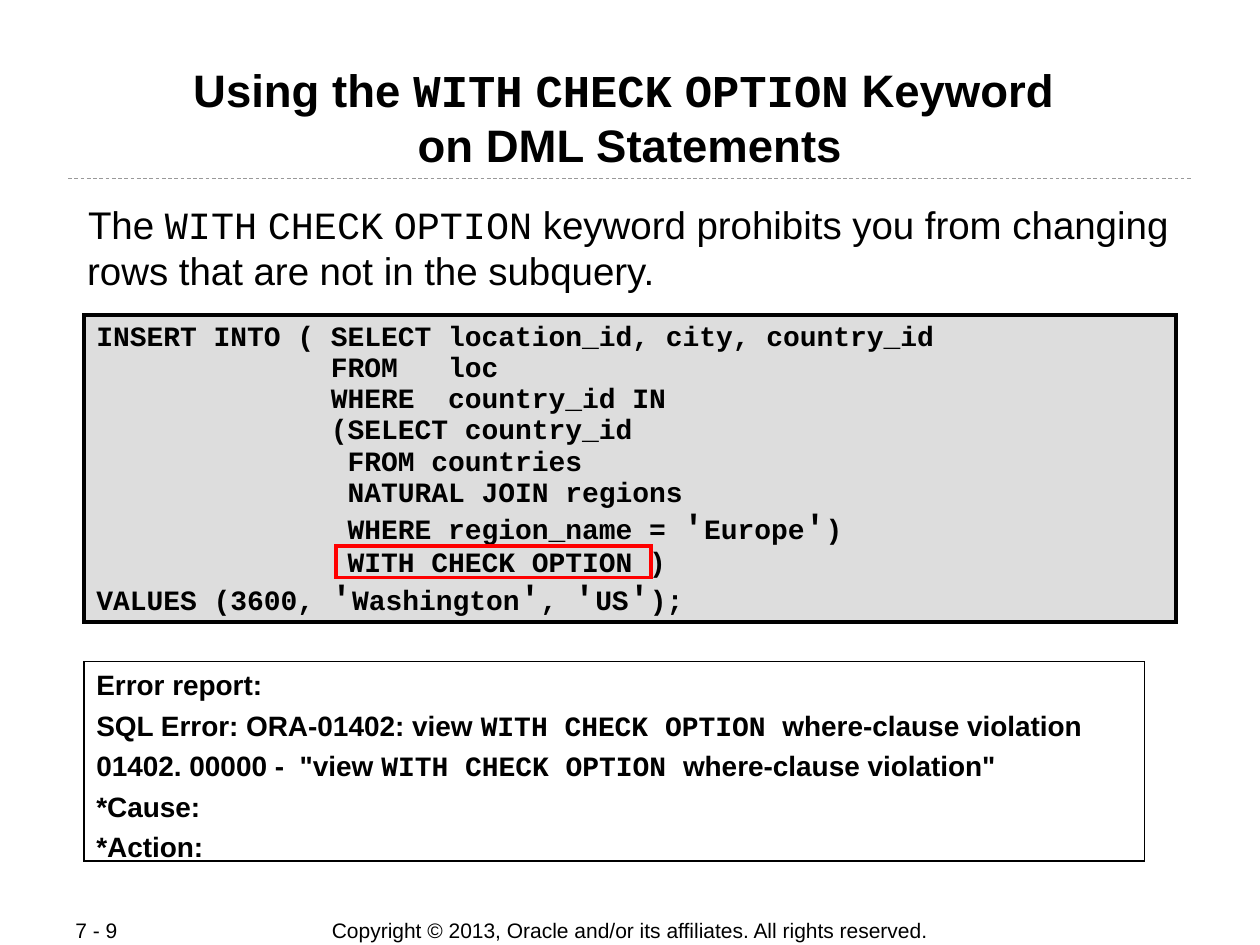
from dataclasses import dataclass

from lxml.etree import SubElement
from pptx import Presentation
from pptx.dml.color import RGBColor
from pptx.enum.dml import MSO_LINE
from pptx.enum.shapes import MSO_CONNECTOR, MSO_SHAPE
from pptx.enum.text import MSO_ANCHOR as ANCHOR, PP_ALIGN as ALIGN
from pptx.oxml.ns import qn
from pptx.util import Pt


@dataclass(frozen=True)
class Theme:
    sans: str = "Arial"
    mono: str = "Courier New"
    ink: RGBColor = RGBColor(0, 0, 0)
    panel: RGBColor = RGBColor(0xDD, 0xDD, 0xDD)
    rule: RGBColor = RGBColor(0x99, 0x99, 0x99)
    accent: RGBColor = RGBColor(0xFF, 0, 0)
    title: int = 26
    body: int = 22
    code: int = 16
    quote: int = 20
    footer: int = 12


THEME = Theme()
LEFT = 48

TITLE = ["Using the `WITH` `CHECK` `OPTION` Keyword ", "on DML Statements"]
BODY = ("The `WITH` `CHECK` `OPTION` keyword prohibits you from changing "
        "rows that are not in the subquery.")
CODE = """INSERT INTO ( SELECT location_id, city, country_id
              FROM   loc
              WHERE  country_id IN
              (SELECT country_id
               FROM countries
               NATURAL JOIN regions
               WHERE region_name = 'Europe')
               WITH CHECK OPTION )
VALUES (3600, 'Washington', 'US');""".splitlines()
ERRORS = [
    "Error report:",
    "SQL Error: ORA-01402: view `WITH CHECK OPTION `where-clause violation",
    '01402. 00000 -  "view `WITH CHECK OPTION `where-clause violation"',
    "*Cause:",
    "*Action:",
]


def add_run(p, text, size, font=THEME.sans, bold=False):
    r = p.add_run()
    r.text = text
    r.font.size = Pt(size)
    r.font.name = font
    r.font.bold = bold
    r.font.color.rgb = THEME.ink


def add_mixed(p, text, size, bold=False):
    for i, part in enumerate(text.split("`")):
        if part:
            add_run(p, part, size, THEME.mono if i % 2 else THEME.sans, bold)


def add_code(p, text):
    for i, part in enumerate(text.split("'")):
        if i:
            add_run(p, "'", THEME.quote, THEME.mono, True)
        if part:
            add_run(p, part, THEME.code, THEME.mono, True)


def add_paragraphs(tf, lines, write, before=0, spacing=None):
    for i, line in enumerate(lines):
        p = tf.add_paragraph() if i else tf.paragraphs[0]
        p.alignment = ALIGN.LEFT
        p.space_before = Pt(before if i else 0)
        if spacing:
            p.line_spacing = spacing
        write(p, line)


def set_frame(sp, anchor, x=7.2, y=3.6, wrap=True):
    tf = sp.text_frame
    tf.word_wrap = wrap
    tf.vertical_anchor = anchor
    tf.margin_left = tf.margin_right = Pt(x)
    tf.margin_top = tf.margin_bottom = Pt(y)
    return tf


def place(sp, left, top, width, height):
    sp.left, sp.top = Pt(left), Pt(top)
    sp.width, sp.height = Pt(width), Pt(height)


def add_box(s, left, top, width, height, line, weight, fill=None):
    sp = s.shapes.add_shape(MSO_SHAPE.RECTANGLE, Pt(left), Pt(top), Pt(width), Pt(height))
    sp.shadow.inherit = False
    if fill is None:
        sp.fill.background()
    else:
        sp.fill.solid()
        sp.fill.fore_color.rgb = fill
    sp.line.color.rgb = line
    sp.line.width = Pt(weight)
    SubElement(sp.line._get_or_add_ln(), qn("a:miter"), lim="800000")
    return set_frame(sp, ANCHOR.TOP)


def add_rule(s, left, right, y):
    line = s.shapes.add_connector(MSO_CONNECTOR.STRAIGHT, Pt(left), Pt(y), Pt(right), Pt(y))
    line.line.color.rgb = THEME.rule
    line.line.width = Pt(0.5)
    line.line.dash_style = MSO_LINE.DASH
    SubElement(line._element.spPr, qn("a:effectLst"))


def add_footer(s, text, left, width, align):
    sp = s.shapes.add_textbox(Pt(left), Pt(524), Pt(width), Pt(15))
    p = set_frame(sp, ANCHOR.MIDDLE, wrap=False).paragraphs[0]
    p.alignment = align
    add_run(p, text, THEME.footer)


def fill_title(sp):
    place(sp, LEFT, 34.5, 624, 69)
    p = set_frame(sp, ANCHOR.MIDDLE, 0.9, 0.9).paragraphs[0]
    sp.text_frame.margin_bottom = Pt(5.5)
    p.alignment = ALIGN.CENTER
    for i, line in enumerate(TITLE):
        if i:
            p.add_line_break()
        add_mixed(p, line, THEME.title, bold=True)


def fill_body(sp):
    place(sp, LEFT, 114, 624, 87)
    p = set_frame(sp, ANCHOR.TOP, 0.9, 0.9).paragraphs[0]
    pPr = p._p.get_or_add_pPr()
    pPr.set("marL", str(Pt(0.9)))
    pPr.set("indent", str(Pt(0.5)))
    SubElement(pPr, qn("a:buNone"))
    p.space_before = Pt(0)
    add_mixed(p, BODY, THEME.body)


def main():
    prs = Presentation()
    prs.slide_width, prs.slide_height = Pt(720), Pt(540)
    s = prs.slides.add_slide(prs.slide_layouts[1])

    add_footer(s, "Copyright © 2013, Oracle and/or its affiliates. All rights reserved.",
               175, 370, ALIGN.CENTER)
    add_footer(s, "7 - 9", 36, 76, ALIGN.LEFT)
    add_rule(s, 39, 681, 102)
    fill_title(s.shapes.title)
    fill_body(s.placeholders[1])

    code = add_box(s, LEFT, 180, 624, 175.5, THEME.ink, 2.25, THEME.panel)
    add_paragraphs(code, CODE, add_code, spacing=0.93)
    add_box(s, 192, 312, 180, 18, THEME.accent, 2.25)

    errors = add_box(s, LEFT, 378, 606, 114, THEME.ink, 0.75)
    add_paragraphs(errors, ERRORS,
                   lambda p, text: add_mixed(p, text, THEME.code, bold=True), before=4)

    prs.save("out.pptx")


if __name__ == "__main__":
    main()
